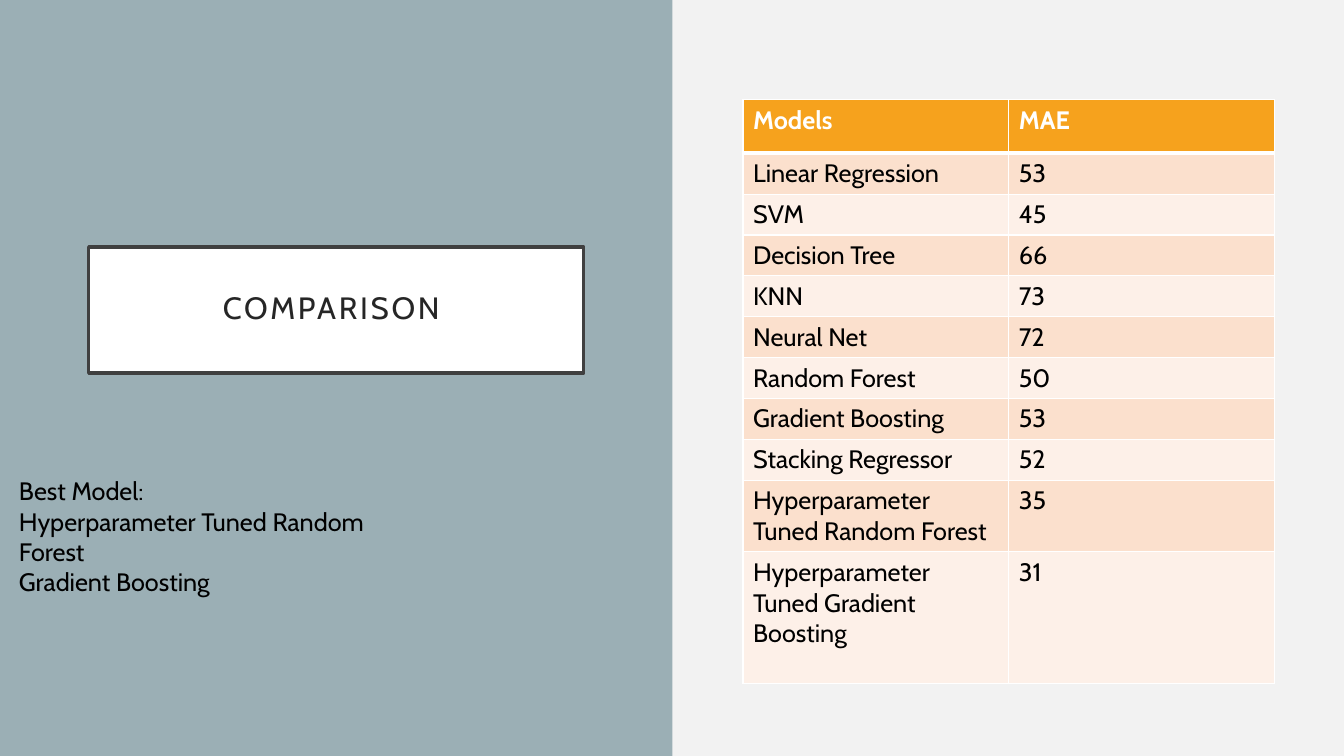
from lxml import etree
from pptx import Presentation
from pptx.dml.color import RGBColor
from pptx.enum import shapes, text
from pptx.oxml import ns
from pptx.util import Inches, Pt

BACKGROUND = RGBColor(0xF2, 0xF2, 0xF2)
PANEL = RGBColor(0x9B, 0xAF, 0xB5)
WHITE = RGBColor(0xFF, 0xFF, 0xFF)
BLACK = RGBColor(0x00, 0x00, 0x00)
FRAME = RGBColor(0x40, 0x40, 0x40)
TITLE = RGBColor(0x26, 0x26, 0x26)
HEADER = RGBColor(0xF6, 0xA2, 0x1D)
BANDS = [RGBColor(0xFD, 0xF0, 0xE8), RGBColor(0xFB, 0xE0, 0xCD)]

RESULTS = [
    ("Models", "MAE"),
    ("Linear Regression", "53"),
    ("SVM", "45"),
    ("Decision Tree", "66"),
    ("KNN", "73"),
    ("Neural Net", "72"),
    ("Random Forest", "50"),
    ("Gradient Boosting", "53"),
    ("Stacking Regressor", "52"),
    ("Hyperparameter Tuned Random Forest", "35"),
    ("Hyperparameter Tuned Gradient Boosting", "31"),
]
ROW_HEIGHTS = [0.53] + [0.4] * 8 + [0.7, 1.31]


def style_font(font, color, size=18, bold=False):
    values = {"name": "Cabin", "size": Pt(size), "bold": bold}
    for name, value in values.items():
        setattr(font, name, value)
    font.color.rgb = color


def add_borders(cell, bottom):
    """Draw white cell borders, 1 pt wide except for the bottom one."""
    tcPr = cell._tc.get_or_add_tcPr()
    widths = {"lnL": 1, "lnR": 1, "lnT": 1, "lnB": bottom}
    for tag, width in widths.items():
        ln = etree.SubElement(tcPr, ns.qn("a:" + tag), w=str(Pt(width)))
        fill = etree.SubElement(ln, ns.qn("a:solidFill"))
        etree.SubElement(fill, ns.qn("a:srgbClr"), val=str(WHITE))


prs = Presentation()
prs.slide_width, prs.slide_height = Inches(13.33), Inches(7.5)
s = prs.slides.add_slide(prs.slide_layouts[6])
s.background.fill.solid()
s.background.fill.fore_color.rgb = BACKGROUND

# Left panel and title box
panel = s.shapes.add_shape(shapes.MSO_SHAPE.RECTANGLE, 0, 0, Inches(6.67), Inches(7.5))
title = s.shapes.add_shape(shapes.MSO_SHAPE.RECTANGLE, Inches(0.88), Inches(2.45),
                           Inches(4.91), Inches(1.25))
for sp, color in [(panel, PANEL), (title, WHITE)]:
    sp.shadow.inherit = False
    sp.fill.solid()
    sp.fill.fore_color.rgb = color
panel.line.fill.background()
title.line.color.rgb = FRAME
title.line.width = Pt(2.5)

tf = title.text_frame
tf.word_wrap = True
tf.vertical_anchor = text.MSO_ANCHOR.MIDDLE
for side in ("left", "right", "top", "bottom"):
    setattr(tf, "margin_" + side, Inches(0.2))
p = tf.paragraphs[0]
p.alignment = text.PP_ALIGN.CENTER
p.line_spacing = 0.9
r = p.add_run()
r.text = "COMPARISON "
style_font(r.font, TITLE, size=22)
r._r.get_or_add_rPr().set("spc", "200")

# Model scores
frame = s.shapes.add_table(len(RESULTS), 2, Inches(7.37), Inches(0.99),
                           Inches(5.27), Inches(sum(ROW_HEIGHTS)))
table = frame.table
for i, (row, height) in enumerate(zip(RESULTS, ROW_HEIGHTS)):
    table.rows[i].height = Inches(height)
    is_header = i == 0
    for j, value in enumerate(row):
        cell = table.cell(i, j)
        add_borders(cell, bottom=3 if is_header else 1)
        cell.fill.solid()
        cell.fill.fore_color.rgb = HEADER if is_header else BANDS[i % 2]
        r = cell.text_frame.paragraphs[0].add_run()
        r.text = value
        style_font(r.font, WHITE if is_header else BLACK, bold=is_header)

# Conclusion
box = s.shapes.add_textbox(Inches(0.09), Inches(4.67), Inches(4.27), Inches(1.01))
tf = box.text_frame
tf.word_wrap = True
tf.text = "Best Model:\nHyperparameter Tuned Random Forest\nGradient Boosting"
for p in tf.paragraphs:
    style_font(p.runs[0].font, BLACK)

prs.save("out.pptx")
